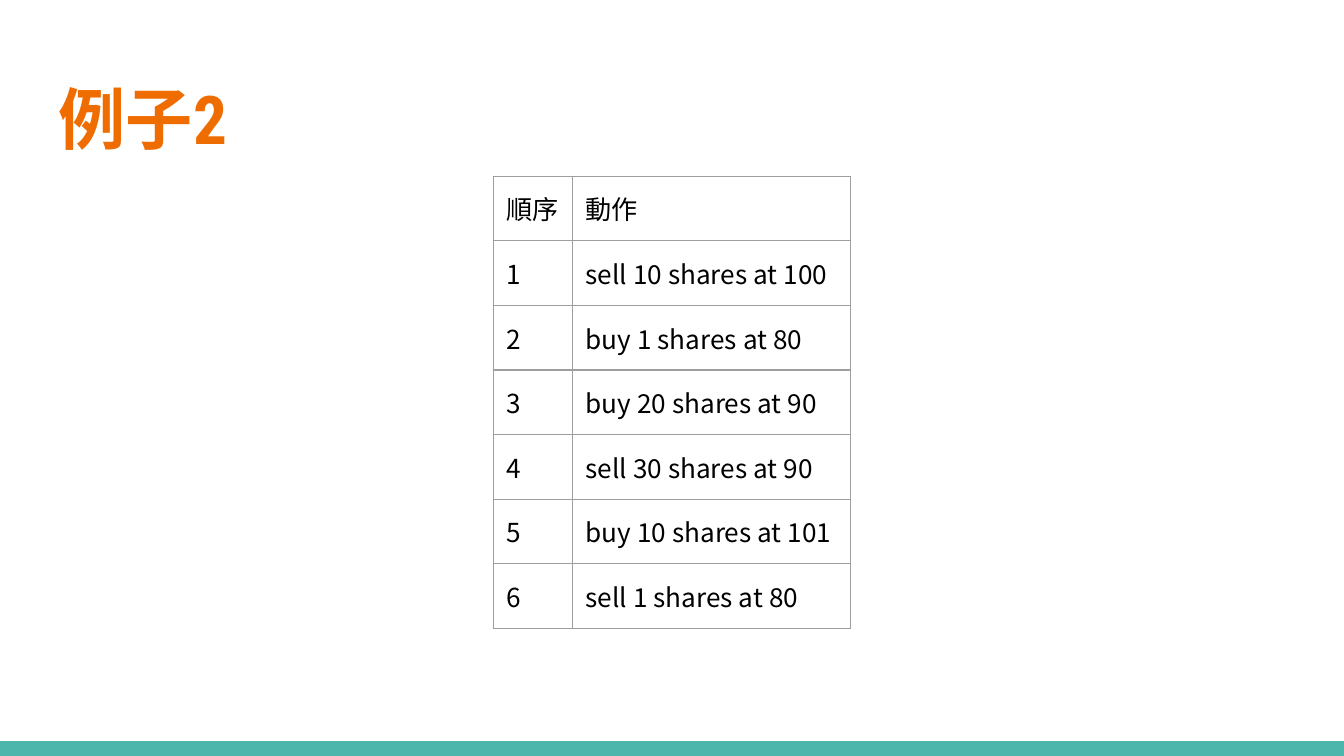
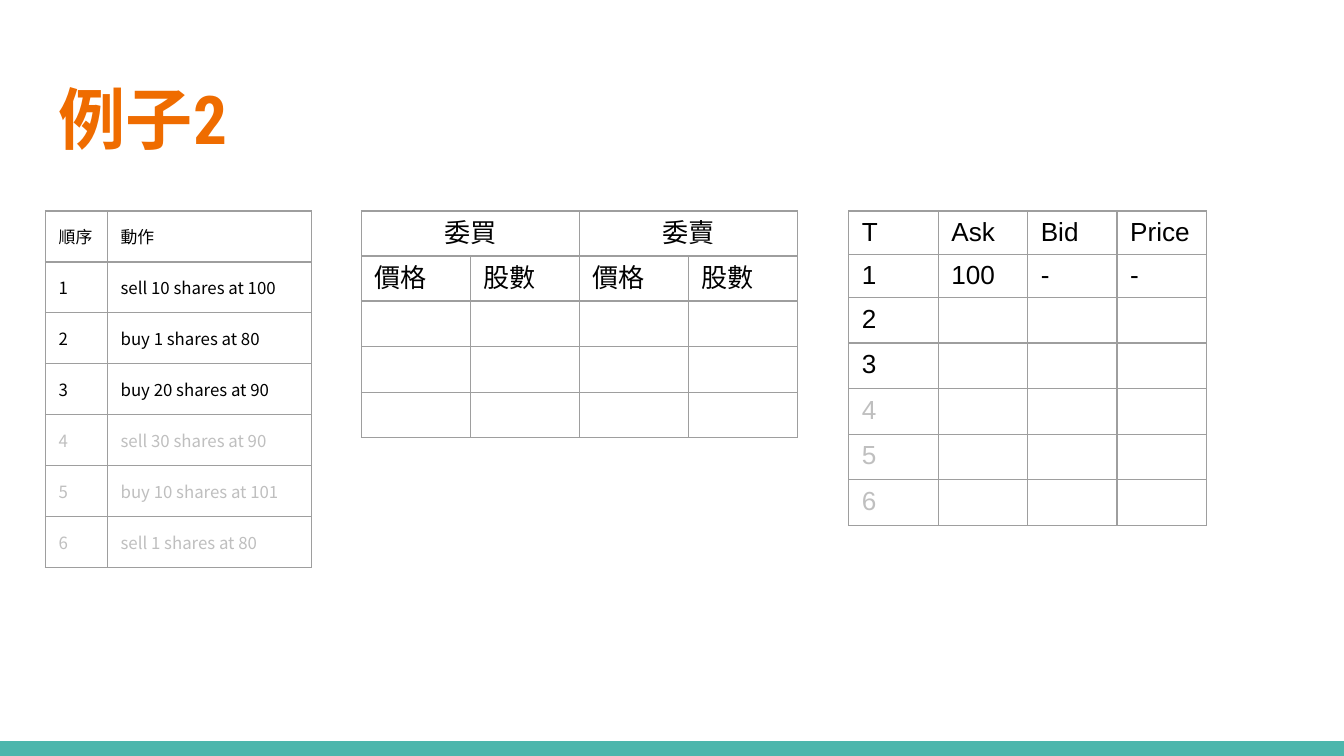
from dataclasses import dataclass

from lxml.etree import SubElement
from pptx import Presentation
from pptx.dml.color import RGBColor
from pptx.enum.shapes import MSO_SHAPE
from pptx.enum.text import MSO_ANCHOR as Anchor, PP_ALIGN as Align
from pptx.oxml.ns import qn
from pptx.util import Cm, Pt

TITLE = "例子2"
ACTIONS = [
    ("順序", "動作"),
    ("1", "sell 10 shares at 100"),
    ("2", "buy 1 shares at 80"),
    ("3", "buy 20 shares at 90"),
    ("4", "sell 30 shares at 90"),
    ("5", "buy 10 shares at 101"),
    ("6", "sell 1 shares at 80"),
]
ORDER_BOOK = [
    ("委買", "", "委賣", ""),
    ("價格", "股數") * 2,
    *[("",) * 4] * 3,
]
TICKS = [
    ("T", "Ask", "Bid", "Price"),
    ("1", "100", "-", "-"),
    *[(str(step), "", "", "") for step in range(2, 7)],
]
DONE_STEPS = 3


@dataclass(frozen=True)
class Theme:
    title_color: str = "EF6C00"
    band: str = "4DB6AC"
    ink: str = "000000"
    muted: str = "BFBFBF"
    border: str = "9E9E9E"
    title_font: str = "Roboto Condensed"
    action_font: str = "Noto Sans CJK TC"
    table_font: str = "Arial"
    title_size: int = 36
    table_size: int = 14
    small_size: int = 9


THEME = Theme()
WIDTH, HEIGHT = 25.4, 14.29
BAND_HEIGHT = 0.28
INSET = 0.25
TABLES_TOP = 3.99


def style_span(span, font, size, color, bold=False):
    span.font.name = font
    span.font.size = Pt(size)
    span.font.bold = bold
    span.font.color.rgb = RGBColor.from_string(color)
    SubElement(span.font._element, qn("a:ea")).set("typeface", font)


def add_band(deck, page):
    band = page.shapes.add_shape(
        MSO_SHAPE.RECTANGLE, 0, Cm(HEIGHT - BAND_HEIGHT), Cm(WIDTH), Cm(BAND_HEIGHT))
    band.shadow.inherit = False
    band.fill.solid()
    band.fill.fore_color.rgb = RGBColor.from_string(THEME.band)
    band.line.fill.background()
    deck.slide_master.shapes._spTree.append(band._element)


def add_page(deck):
    page = deck.slides.add_slide(deck.slide_layouts[5])
    box = page.shapes.title
    box.left, box.top, box.width, box.height = Cm(0.86), Cm(1.24), Cm(23.67), Cm(1.96)
    frame = box.text_frame
    frame.text = TITLE
    frame.vertical_anchor = Anchor.MIDDLE
    frame.margin_left = frame.margin_right = Cm(INSET)
    frame.margin_top = frame.margin_bottom = Cm(INSET)
    para = frame.paragraphs[0]
    para.alignment = Align.LEFT
    style_span(para.runs[0], THEME.title_font, THEME.title_size, THEME.title_color, True)
    return page


def add_borders(cell):
    properties = cell._tc.get_or_add_tcPr()
    for side in ("lnL", "lnR", "lnT", "lnB"):
        line = SubElement(properties, qn(f"a:{side}"), w=str(Pt(0.75)))
        fill = SubElement(line, qn("a:solidFill"))
        SubElement(fill, qn("a:srgbClr"), val=THEME.border)


def add_grid(page, rows, left, top, widths, row_height, font, size,
             inset=0.13, done=None, middle_rows=0):
    table = page.shapes.add_table(
        len(rows), len(widths), Cm(left), Cm(top),
        Cm(sum(widths)), Cm(row_height * len(rows))).table
    table.first_row = table.horz_banding = False
    for column, width in zip(table.columns, widths):
        column.width = Cm(width)
    for index, values in enumerate(rows):
        table.rows[index].height = Cm(row_height)
        color = THEME.muted if done is not None and index > done else THEME.ink
        for cell, value in zip(table.rows[index].cells, values):
            add_borders(cell)
            cell.fill.background()
            cell.margin_left = cell.margin_right = Cm(INSET)
            cell.margin_top = cell.margin_bottom = Cm(inset)
            cell.vertical_anchor = Anchor.MIDDLE if index < middle_rows else Anchor.TOP
            cell.text_frame.text = value
            para = cell.text_frame.paragraphs[0]
            for span in para.runs:
                style_span(span, font, size, color)
            if not value:
                SubElement(para._p, qn("a:endParaRPr"), sz=str(size * 100))
    return table


def add_order_book(page):
    table = add_grid(page, ORDER_BOOK, 6.83, TABLES_TOP, [2.06] * 4, 0.85,
                     THEME.table_font, THEME.table_size, middle_rows=2)
    for column in (0, 2):
        cell = table.cell(0, column)
        cell.merge(table.cell(0, column + 1))
        cell.text_frame.paragraphs[0].alignment = Align.CENTER


def main():
    deck = Presentation()
    deck.slide_width, deck.slide_height = Cm(WIDTH), Cm(HEIGHT)

    page = add_page(deck)
    add_band(deck, page)
    add_grid(page, ACTIONS, 9.32, 3.33, [1.5, 5.25], 1.1,
             THEME.action_font, THEME.table_size, INSET)

    page = add_page(deck)
    add_order_book(page)
    add_grid(page, TICKS, 16.04, TABLES_TOP, [1.69] * 4, 0.46,
             THEME.table_font, THEME.table_size, done=DONE_STEPS)
    add_grid(page, ACTIONS, 0.86, TABLES_TOP, [1.17, 3.85], 0.9,
             THEME.action_font, THEME.small_size, INSET, DONE_STEPS, middle_rows=1)

    deck.save("out.pptx")


if __name__ == "__main__":
    main()
